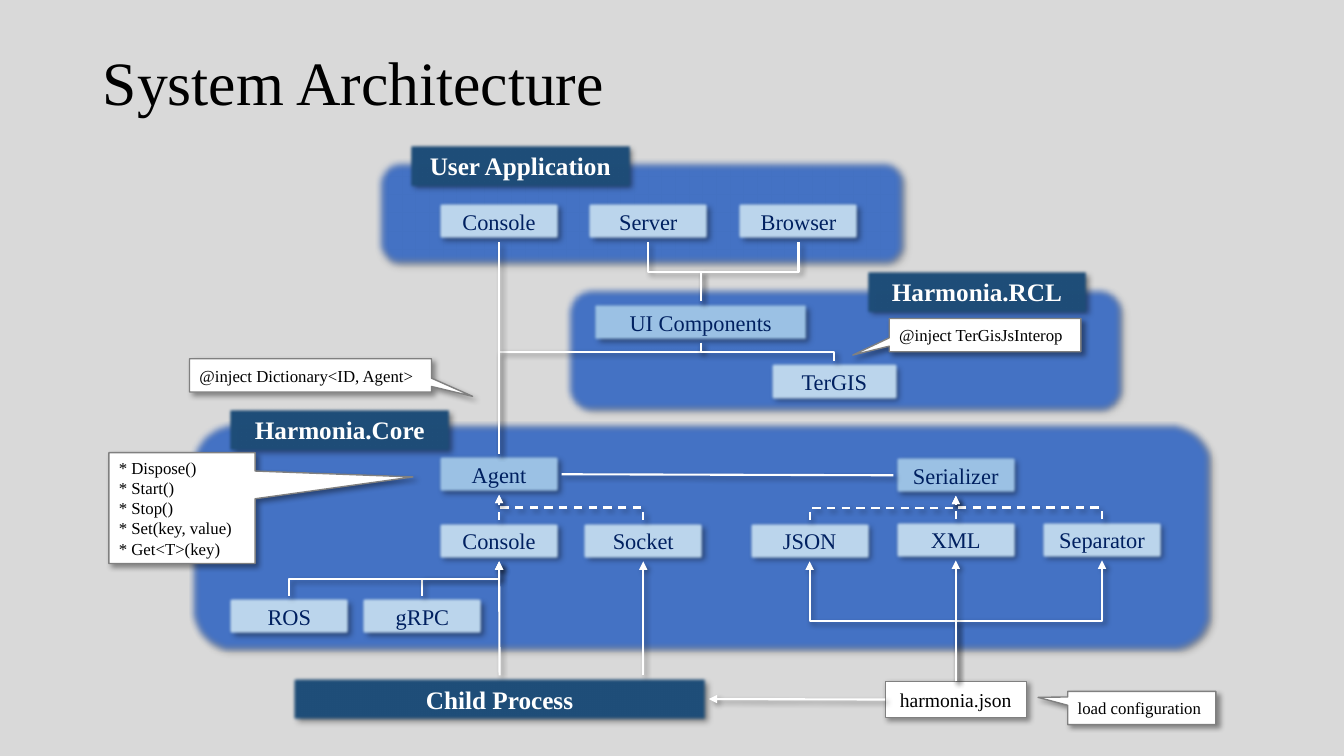
from dataclasses import dataclass

from lxml import etree
from pptx import Presentation
from pptx import util as u
from pptx.dml.color import RGBColor
from pptx.enum import dml, shapes, text
from pptx.oxml import ns

Inches = u.Inches
TOP, LEFT, BOTTOM, RIGHT = range(4)


@dataclass(frozen=True)
class Theme:
    font: str = "Times New Roman"
    background: str = "D9D9D9"
    panel: str = "4472C4"
    header: str = "1F4E79"
    core: str = "9DC3E6"
    component: str = "BDD7EE"
    navy: str = "002060"
    white: str = "FFFFFF"
    black: str = "000000"
    outline: str = "808080"
    title_size: int = 44
    header_size: int = 18
    component_size: int = 16
    file_size: int = 14
    note_size: int = 12
    line_width: float = 1.5


THEME = Theme()

# Each kind of box: fill, text format, soft edge in points, outline
BOX_STYLES = {
    "header": (THEME.header, dict(size=THEME.header_size, color=THEME.white, bold=True), 2.5, None),
    "core": (THEME.core, dict(size=THEME.component_size, color=THEME.navy), 2.5, None),
    "component": (THEME.component, dict(size=THEME.component_size, color=THEME.navy), 2.5, None),
    "file": (THEME.white, dict(size=THEME.file_size, color=THEME.black), 0, THEME.outline),
    "note": (THEME.white, dict(size=THEME.note_size, color=THEME.black), 0, THEME.outline),
}

PANELS = [
    (3.72, 1.57, 5.28, 1.08),
    (1.88, 4.18, 10.15, 2.29),
    (5.6, 2.83, 5.56, 1.28),
]

HEADER_SIZE = (2.24, 0.47)
COMPONENT_SIZE = (1.24, 0.41)

# key: (label, kind, left, top, (width, height))
BOXES = {
    "application": ("User Application", "header", 4.04, 1.41, HEADER_SIZE),
    "rcl": ("Harmonia.RCL", "header", 8.57, 2.66, HEADER_SIZE),
    "harmonia_core": ("Harmonia.Core", "header", 2.25, 4.03, HEADER_SIZE),
    "process": ("Child Process", "header", 2.88, 6.7, (4.15, 0.47)),
    "app_console": ("Console", "component", 4.33, 1.99, COMPONENT_SIZE),
    "server": ("Server", "component", 5.81, 1.99, COMPONENT_SIZE),
    "browser": ("Browser", "component", 7.3, 1.99, COMPONENT_SIZE),
    "ui": ("UI Components", "core", 5.87, 2.99, (2.16, 0.41)),
    "map": ("TerGIS", "component", 7.62, 3.58, (1.31, 0.41)),
    "agent": ("Agent", "core", 4.33, 4.5, COMPONENT_SIZE),
    "serializer": ("Serializer", "core", 8.86, 4.51, COMPONENT_SIZE),
    "console": ("Console", "component", 4.33, 5.16, COMPONENT_SIZE),
    "socket": ("Socket", "component", 5.76, 5.16, COMPONENT_SIZE),
    "json": ("JSON", "component", 7.41, 5.16, COMPONENT_SIZE),
    "xml": ("XML", "component", 8.86, 5.15, COMPONENT_SIZE),
    "separator": ("Separator", "component", 10.31, 5.15, COMPONENT_SIZE),
    "ros": ("ROS", "component", 2.25, 5.91, COMPONENT_SIZE),
    "grpc": ("gRPC", "component", 3.57, 5.91, COMPONENT_SIZE),
    "config": ("harmonia.json", "file", 8.78, 6.76, (1.4, 0.36)),
}

# (text, left, top, (width, height), pointer adjustments)
CALLOUTS = [
    ("* Dispose()\n* Start()\n* Stop()\n* Set(key, value)\v* Get<T>(key)",
     1.08, 4.49, (1.45, 1.1), (1.58, -0.28)),
    ("@inject Dictionary<ID, Agent>", 1.88, 3.56, (2.4, 0.33), (0.67, 0.63)),
    ("@inject TerGisJsInterop", 8.82, 3.16, (1.9, 0.33), (-0.69, 0.6)),
    ("load configuration", 10.59, 6.86, (1.47, 0.33), (-0.7, -0.32)),
]

DASHED_ARROW = dict(arrow=True, dashed=True)
ARROW = dict(arrow=True)

# (from, to, format); lines leave and arrive vertically
ELBOWS = [
    ("socket", "agent", DASHED_ARROW),
    ("json", "serializer", DASHED_ARROW),
    ("separator", "serializer", DASHED_ARROW),
    ("ui", "agent", dict(bend=0.087)),
    ("ui", "map", {}),
    ("server", "ui", {}),
    ("browser", "ui", {}),
    ("config", "json", ARROW),
    ("config", "separator", ARROW),
    ("grpc", "console", ARROW),
    ("ros", "console", ARROW),
]

# (from, side, to, side, format)
STRAIGHTS = [
    ("console", TOP, "agent", BOTTOM, DASHED_ARROW),
    ("xml", TOP, "serializer", BOTTOM, DASHED_ARROW),
    ("agent", RIGHT, "serializer", LEFT, {}),
    ("agent", TOP, "app_console", BOTTOM, {}),
    ("config", TOP, "xml", BOTTOM, ARROW),
    ("config", LEFT, "process", RIGHT, ARROW),
    ("process", TOP, "console", BOTTOM, ARROW),
]


def add_xml(parent, tag, **values):
    child = etree.SubElement(parent, ns.qn(tag))
    for name, value in values.items():
        child.set(name, str(value))
    return child


def add_effects(effects, soft_edge=0):
    shadow = add_xml(effects, "a:outerShdw", blurRad=u.Pt(4), dist=u.Pt(3),
                     dir=45 * 60000, algn="tl", rotWithShape=0)
    color = add_xml(shadow, "a:srgbClr", val=THEME.black)
    add_xml(color, "a:alpha", val=40000)
    if soft_edge:
        add_xml(effects, "a:softEdge", rad=u.Pt(soft_edge))


def format_font(font, size, color, bold=False):
    for name, value in dict(name=THEME.font, size=u.Pt(size), bold=bold).items():
        setattr(font, name, value)
    font.color.rgb = RGBColor.from_string(color)


def add_block(slide, preset, place, fill, soft_edge=0, outline=None):
    block = slide.shapes.add_shape(preset, *map(Inches, place))
    block.fill.solid()
    block.fill.fore_color.rgb = RGBColor.from_string(fill)
    if outline:
        block.line.color.rgb = RGBColor.from_string(outline)
        block.line.width = u.Pt(1)
    else:
        block.line.fill.background()
    block.shadow.inherit = False
    add_effects(block._element.spPr.find(ns.qn("a:effectLst")), soft_edge)
    return block


def add_box(slide, label, kind, left, top, size,
            preset=shapes.MSO_SHAPE.RECTANGLE, align=text.PP_ALIGN.CENTER):
    fill, font_format, soft_edge, outline = BOX_STYLES[kind]
    box = add_block(slide, preset, (left, top, *size), fill, soft_edge, outline)
    frame = box.text_frame
    frame.text = label
    frame.vertical_anchor = text.MSO_ANCHOR.MIDDLE
    for paragraph in frame.paragraphs:
        paragraph.alignment = align
        for run in paragraph.runs:
            format_font(run.font, **font_format)
    return box


def add_callout(slide, label, left, top, size, pointer):
    callout = add_box(slide, label, "note", left, top, size,
                      shapes.MSO_SHAPE.RECTANGULAR_CALLOUT, text.PP_ALIGN.LEFT)
    for index, value in enumerate(pointer):
        callout.adjustments[index] = value


def add_line(slide, kind, start=(0, 0), end=(0, 0), arrow=False, dashed=False):
    line = slide.shapes.add_connector(kind, *map(Inches, (*start, *end)))
    line.line.color.rgb = RGBColor.from_string(THEME.white)
    line.line.width = u.Pt(THEME.line_width)
    if dashed:
        line.line.dash_style = dml.MSO_LINE.DASH
    properties = line._element.spPr
    if arrow:
        add_xml(properties.find(ns.qn("a:ln")), "a:tailEnd", type="triangle")
    add_effects(add_xml(properties, "a:effectLst"))
    return line


def add_elbow(slide, source, target, bend=0.5, **line_format):
    line = add_line(slide, shapes.MSO_CONNECTOR.ELBOW, **line_format)
    upward = target.top < source.top
    line.begin_connect(source, TOP if upward else BOTTOM)
    line.end_connect(target, BOTTOM if upward else TOP)
    dx, dy = line.end_x - line.begin_x, line.end_y - line.begin_y
    center_x, center_y = line.begin_x + dx // 2, line.begin_y + dy // 2
    # Turn the frame a quarter so that the first leg runs vertically
    line.width, line.height = abs(dy), abs(dx)
    line.left, line.top = center_x - abs(dy) // 2, center_y - abs(dx) // 2
    frame = line._element.spPr.find(ns.qn("a:xfrm"))
    mirrored = (dx < 0) == upward
    for name, value in dict(rot=(270 if upward else 90) * 60000, flipH=0, flipV=int(mirrored)).items():
        frame.set(name, str(value))
    guides = line._element.spPr.find(ns.qn("a:prstGeom")).find(ns.qn("a:avLst"))
    add_xml(guides, "a:gd", name="adj1", fmla=f"val {round(bend * 100000)}")


def add_title(slide, label):
    title = slide.shapes.title
    for name, value in dict(left=0.92, top=0.4, width=11.5, height=0.9).items():
        setattr(title, name, Inches(value))
    frame = title.text_frame
    frame.text = label
    frame.auto_size = text.MSO_AUTO_SIZE.NONE
    frame.vertical_anchor = text.MSO_ANCHOR.MIDDLE
    heading = frame.paragraphs[0]
    heading.alignment = text.PP_ALIGN.LEFT
    heading.line_spacing = 0.9
    format_font(heading.runs[0].font, THEME.title_size, THEME.black)


def main():
    deck = Presentation()
    deck.slide_width, deck.slide_height = Inches(13.33), Inches(7.5)
    slide = deck.slides.add_slide(deck.slide_layouts[5])
    slide.background.fill.solid()
    slide.background.fill.fore_color.rgb = RGBColor.from_string(THEME.background)
    add_title(slide, "System Architecture")

    # Layers and their components
    for place in PANELS:
        add_block(slide, shapes.MSO_SHAPE.ROUNDED_RECTANGLE, place, THEME.panel, soft_edge=5)
    boxes = {key: add_box(slide, *details) for key, details in BOXES.items()}

    # Relations
    for source, target, line_format in ELBOWS:
        add_elbow(slide, boxes[source], boxes[target], **line_format)
    for source, source_side, target, target_side, line_format in STRAIGHTS:
        relation = add_line(slide, shapes.MSO_CONNECTOR.STRAIGHT, **line_format)
        relation.begin_connect(boxes[source], source_side)
        relation.end_connect(boxes[target], target_side)
    process_to_socket = add_line(slide, shapes.MSO_CONNECTOR.STRAIGHT, (6.38, 6.7), (6.38, 5.57), arrow=True)
    process_to_socket.end_connect(boxes["socket"], BOTTOM)

    # Notes
    for details in CALLOUTS:
        add_callout(slide, *details)

    deck.save("out.pptx")


if __name__ == "__main__":
    main()
